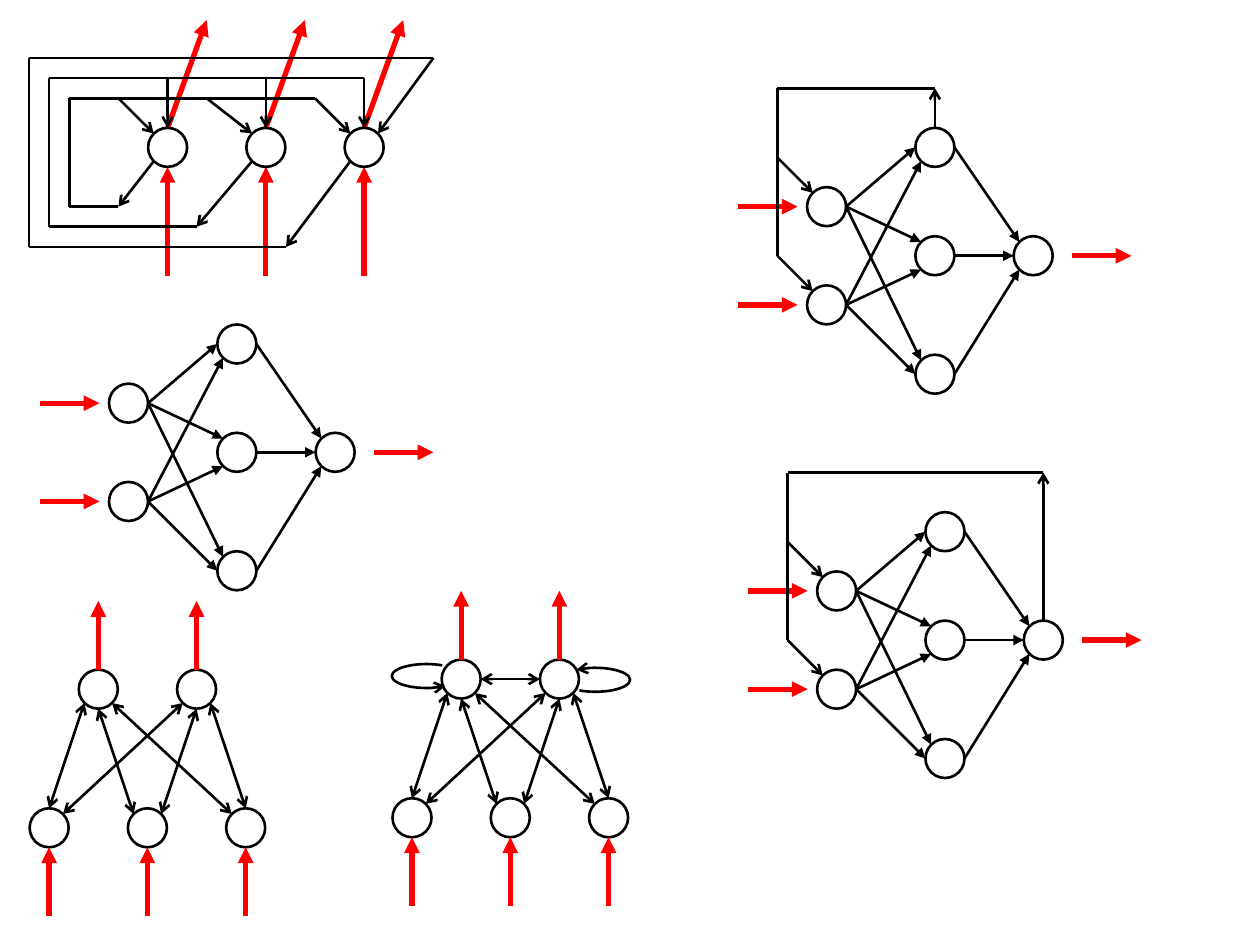
"""Draw six neural network topologies: feedforward, recurrent and bidirectional."""
from dataclasses import dataclass
from typing import NamedTuple

from lxml import etree
from pptx import Presentation
from pptx.dml.color import RGBColor
from pptx.enum.shapes import MSO_CONNECTOR, MSO_SHAPE
from pptx.oxml.ns import qn
from pptx.shapes.shapetree import GroupShapes
from pptx.util import Inches, Pt

STRAIGHT = MSO_CONNECTOR.STRAIGHT
OVAL = MSO_SHAPE.OVAL
ARC = MSO_SHAPE.ARC

RADIUS = 0.155
DIAGONAL = 0.11
STEP = 0.78
HALF = 0.39
LOOP_GAP = 0.16


class Stroke(NamedTuple):
    color: RGBColor
    width: Pt


@dataclass(frozen=True)
class Theme:
    link: Stroke = Stroke(RGBColor(0, 0, 0), Pt(1.5))
    signal: Stroke = Stroke(RGBColor(255, 0, 0), Pt(3))


THEME = Theme()


class Point(NamedTuple):
    x: float
    y: float

    def move(self, dx: float, dy: float) -> "Point":
        return Point(self.x + dx, self.y + dy)

    def port(self, side: str) -> "Point":
        reach = DIAGONAL if len(side) == 2 else RADIUS
        return self.move(reach * (("E" in side) - ("W" in side)),
                         reach * (("S" in side) - ("N" in side)))


class Edge(NamedTuple):
    start: int
    start_port: str
    end: int
    end_port: str


class Loop(NamedTuple):
    tap_x: float
    right_x: float
    branches: tuple[tuple[float, int, str], ...]


FORWARD_EDGES = (
    Edge(0, "E", 3, "W"), Edge(0, "E", 2, "NW"), Edge(0, "E", 4, "NW"),
    Edge(1, "E", 3, "SW"), Edge(1, "E", 2, "SW"), Edge(1, "E", 4, "W"),
    Edge(3, "E", 5, "NW"), Edge(2, "E", 5, "W"), Edge(4, "E", 5, "SW"),
)
MEMORY_EDGES = (
    Edge(0, "N", 3, "SW"), Edge(1, "NW", 3, "S"), Edge(2, "N", 4, "SE"),
    Edge(1, "NE", 4, "S"), Edge(0, "NE", 4, "SW"), Edge(2, "NW", 3, "SE"),
)
LOOPS = (
    Loop(0.94, 2.5, ((0.94, 0, "NW"), (1.64, 1, "NW"), (2.5, 2, "NW"))),
    Loop(1.56, 2.89, ((1.33, 0, "N"), (2.11, 1, "N"), (2.89, 2, "N"))),
    Loop(2.27, 3.44, ((3.44, 2, "NE"),)),
)


def style_line(sp, stroke: Stroke, head: str = "", tail: str = "") -> None:
    sp.line.color.rgb = stroke.color
    sp.line.width = stroke.width
    ln = sp.line._get_or_add_ln()
    for tag, kind in (("a:headEnd", head), ("a:tailEnd", tail)):
        if kind:
            etree.SubElement(ln, qn(tag), type=kind)


def add_line(shapes: GroupShapes, a: Point, b: Point, stroke: Stroke = THEME.link,
             head: str = "", tail: str = "") -> None:
    sp = shapes.add_connector(STRAIGHT, *(Inches(v) for v in (*a, *b)))
    style_line(sp, stroke, head, tail)
    etree.SubElement(sp._element.spPr, qn("a:effectLst"))


def add_signal(shapes: GroupShapes, a: Point, b: Point) -> None:
    add_line(shapes, a, b, THEME.signal, tail="triangle")


def add_path(shapes: GroupShapes, points: list[Point]) -> None:
    for a, b in zip(points, points[1:]):
        add_line(shapes, a, b)


def add_nodes(shapes: GroupShapes, nodes: list[Point]) -> None:
    for node in nodes:
        corner = node.move(-RADIUS, -RADIUS)
        sp = shapes.add_shape(OVAL, Inches(corner.x), Inches(corner.y),
                              Inches(2 * RADIUS), Inches(2 * RADIUS))
        sp.shadow.inherit = False
        sp.fill.background()
        style_line(sp, THEME.link)


def add_edges(shapes: GroupShapes, nodes: list[Point], edges: tuple[Edge, ...],
              head: str = "", tail: str = "") -> None:
    for e in edges:
        add_line(shapes, nodes[e.start].port(e.start_port),
                 nodes[e.end].port(e.end_port), head=head, tail=tail)


def add_self_loop(shapes: GroupShapes, corner: Point, rotation: float) -> None:
    sp = shapes.add_shape(ARC, Inches(corner.x), Inches(corner.y),
                          Inches(0.55), Inches(0.19))
    sp.adjustments[0], sp.adjustments[1] = 16.84, 195.67
    sp.rotation = rotation
    sp.shadow.inherit = False
    sp.fill.background()
    style_line(sp, THEME.link, head="arrow")


def draw_feedforward(shapes: GroupShapes, origin: Point) -> list[Point]:
    offsets = ((0, 0), (0, STEP), (0.86, HALF), (0.86, -0.47), (0.86, 1.33), (1.64, HALF))
    nodes = [origin.move(*offset) for offset in offsets]
    add_nodes(shapes, nodes)
    add_edges(shapes, nodes, FORWARD_EDGES, tail="triangle")
    for node in nodes[:2]:
        add_signal(shapes, node.move(-0.7, 0), node.move(-0.23, 0))
    add_signal(shapes, nodes[5].move(0.31, 0), nodes[5].move(STEP, 0))
    return nodes


def draw_feedback(shapes: GroupShapes, origin: Point, source: int) -> None:
    nodes = draw_feedforward(shapes, origin)
    corner = origin.move(-HALF, -0.94)
    above = Point(nodes[source].x, corner.y)
    add_path(shapes, [above, corner, origin.move(-HALF, HALF)])
    add_line(shapes, nodes[source].port("N"), above, tail="arrow")
    for node in nodes[:2]:
        add_line(shapes, node.move(-HALF, -HALF), node.port("NW"), tail="arrow")


def draw_recurrent(shapes: GroupShapes, origin: Point) -> None:
    nodes = [origin.move(STEP * i, 0) for i in range(3)]
    for node in nodes:
        add_signal(shapes, node.port("N"), node.move(0.31, -1.01))
        add_signal(shapes, node.move(0, 1.02), node.port("S"))
    add_nodes(shapes, nodes)
    for i, loop in enumerate(LOOPS):
        left, top, bottom = 0.55 - LOOP_GAP * i, 0.78 - LOOP_GAP * i, 1.64 + LOOP_GAP * i
        tap = Point(loop.tap_x, bottom)
        add_line(shapes, nodes[i].port("SW"), tap, tail="arrow")
        add_path(shapes, [tap, Point(left, bottom), Point(left, top), Point(loop.right_x, top)])
        for x, target, side in loop.branches:
            add_line(shapes, Point(x, top), nodes[target].port(side), tail="arrow")


def draw_memory(shapes: GroupShapes, origin: Point) -> list[Point]:
    lower = [origin.move(STEP * i, 0) for i in range(3)]
    upper = [origin.move(HALF + STEP * i, -1.1) for i in range(2)]
    nodes = lower + upper
    add_nodes(shapes, nodes)
    add_edges(shapes, nodes, MEMORY_EDGES, head="arrow", tail="arrow")
    for node in upper:
        add_signal(shapes, node.port("N"), node.move(0, -0.7))
    for node in lower:
        add_signal(shapes, node.move(0, 0.7), node.port("S"))
    return nodes


def draw_lateral_memory(shapes: GroupShapes, origin: Point) -> None:
    nodes = draw_memory(shapes, origin)
    add_edges(shapes, nodes, (Edge(3, "E", 4, "W"),), head="arrow", tail="arrow")
    add_self_loop(shapes, nodes[3].move(-0.55, -0.12), 0)
    add_self_loop(shapes, nodes[4].move(0.01, -0.09), 180)


def main() -> None:
    prs = Presentation()
    prs.slide_width, prs.slide_height = Inches(10), Inches(7.5)
    s = prs.slides.add_slide(prs.slide_layouts[6])
    for draw, origin, *options in (
        (draw_feedforward, Point(1.02, 3.2)),
        (draw_feedback, Point(6.56, 1.64), 3),
        (draw_feedback, Point(6.64, 4.69), 5),
        (draw_recurrent, Point(1.33, 1.17)),
        (draw_memory, Point(0.39, 6.57)),
        (draw_lateral_memory, Point(3.27, 6.49)),
    ):
        draw(s.shapes.add_group_shape().shapes, origin, *options)
    prs.save("out.pptx")


if __name__ == "__main__":
    main()
